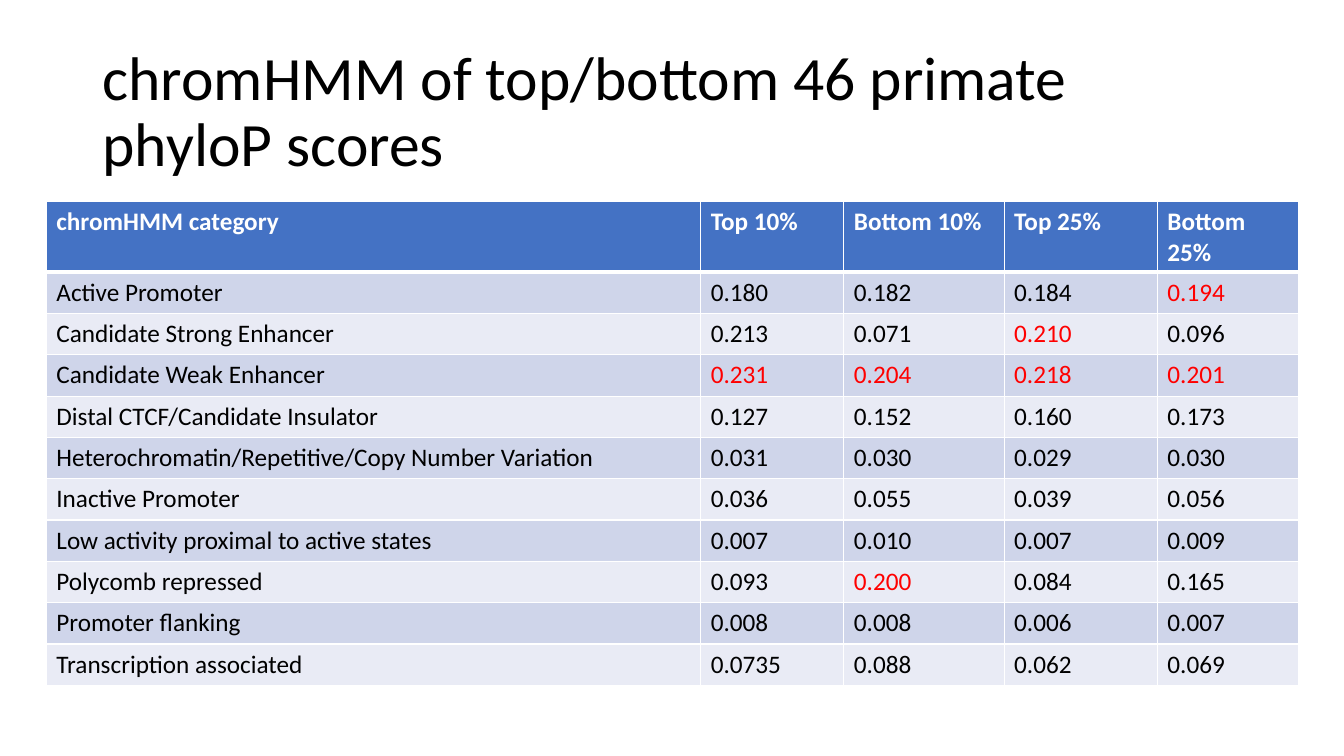
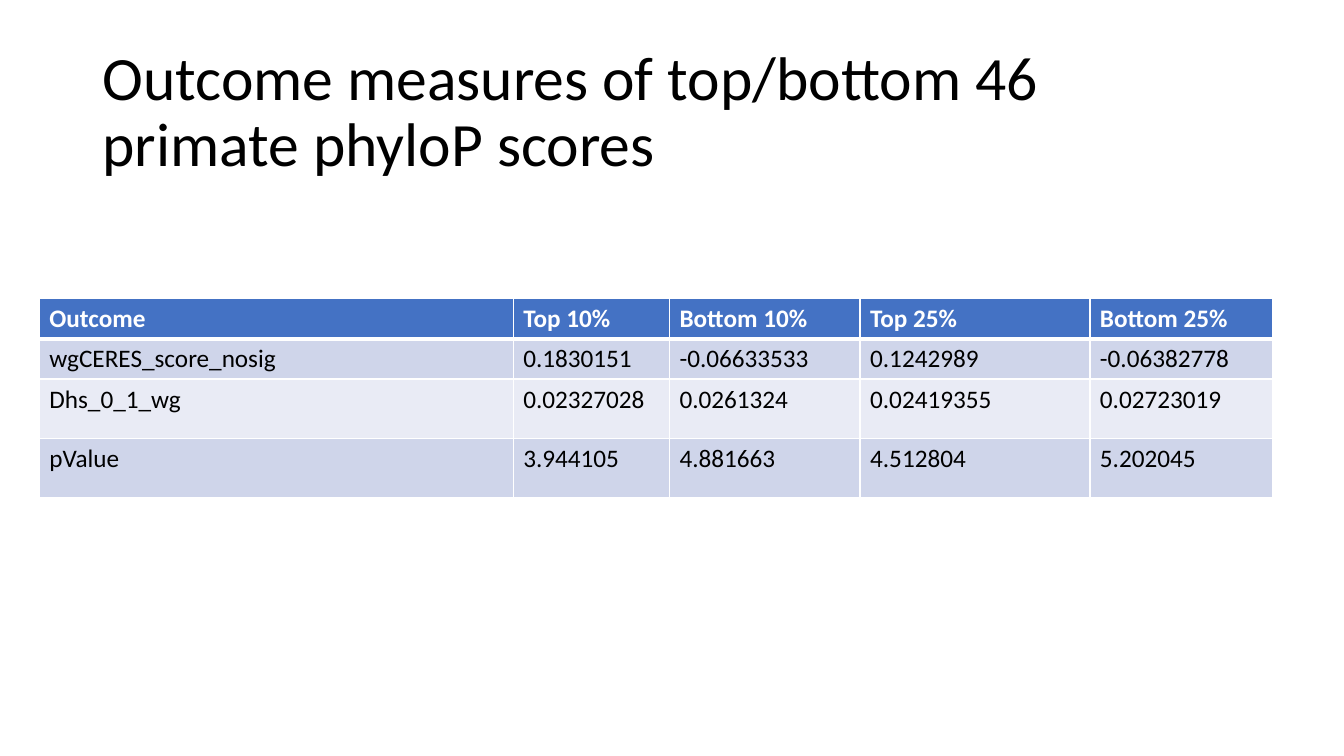
from lxml import etree
from pptx import Presentation
from pptx import util as u
from pptx.dml.color import RGBColor
from pptx.enum import text
from pptx.oxml import ns

BLACK = RGBColor(0x00, 0x00, 0x00)
WHITE = RGBColor(0xFF, 0xFF, 0xFF)
RED = RGBColor(0xFF, 0x00, 0x00)
HEADER_BLUE = RGBColor(0x44, 0x72, 0xC4)
BANDS = (RGBColor(0xCF, 0xD5, 0xEA), RGBColor(0xE9, 0xEB, 0xF5))

SLIDE_SIZE = (13.33, 7.5)
TITLE_BOX = (0.92, 0.4, 11.5, 1.45)
FONT = "Calibri"
TITLE_FORMAT = {"name": FONT, "size": u.Pt(44)}
HEADER_FORMAT = {"name": FONT, "size": u.Pt(18), "bold": True}
BODY_FORMAT = {**HEADER_FORMAT, "bold": False}
THIN, THICK = 1, 3

GROUPS = ["Top 10%", "Bottom 10%", "Top 25%", "Bottom 25%"]

CHROMHMM = {
    "title": "chromHMM of top/bottom 46 primate phyloP scores",
    "corner": (0.46, 2),
    "widths": [6.49, 1.42, 1.59, 1.52, 1.4],
    "heights": [0.49] + [0.41] * 10,
    "rows": [
        ["chromHMM category", *GROUPS],
        ["Active Promoter", "0.180", "0.182", "0.184", "0.194"],
        ["Candidate Strong Enhancer", "0.213", "0.071", "0.210", "0.096"],
        ["Candidate Weak Enhancer", "0.231", "0.204", "0.218", "0.201"],
        ["Distal CTCF/Candidate Insulator", "0.127", "0.152", "0.160", "0.173"],
        ["Heterochromatin/Repetitive/Copy Number Variation",
         "0.031", "0.030", "0.029", "0.030"],
        ["Inactive Promoter", "0.036", "0.055", "0.039", "0.056"],
        ["Low activity proximal to active states",
         "0.007", "0.010", "0.007", "0.009"],
        ["Polycomb repressed", "0.093", "0.200", "0.084", "0.165"],
        ["Promoter flanking", "0.008", "0.008", "0.006", "0.007"],
        ["Transcription associated", "0.0735", "0.088", "0.062", "0.069"],
    ],
    "highlights": {"0.194", "0.210", "0.231", "0.204", "0.218", "0.201", "0.200"},
}

OUTCOMES = {
    "title": "Outcome measures of top/bottom 46 primate phyloP scores",
    "corner": (0.39, 2.96),
    "widths": [4.7, 1.55, 1.89, 2.28, 1.81],
    "heights": [0.35, 0.34, 0.59, 0.59],
    "rows": [
        ["Outcome", *GROUPS],
        ["wgCERES_score_nosig",
         "0.1830151", "-0.06633533", "0.1242989", "-0.06382778"],
        ["Dhs_0_1_wg", "0.02327028", "0.0261324", "0.02419355", "0.02723019"],
        ["pValue", "3.944105", "4.881663", "4.512804", "5.202045"],
    ],
    "highlights": set(),
}


def write(para, words, formats, color):
    span = para.add_run()
    span.text = words
    for name, value in formats.items():
        setattr(span.font, name, value)
    span.font.color.rgb = color


def add_title(page, words, box):
    frame = page.shapes.add_textbox(*map(u.Inches, box)).text_frame
    frame.word_wrap = True
    frame.vertical_anchor = text.MSO_ANCHOR.MIDDLE
    para = frame.paragraphs[0]
    para.line_spacing = 0.9
    write(para, words, TITLE_FORMAT, BLACK)


def add_borders(cell, widths):
    """Draw white borders; widths are points for left, right, top, bottom."""
    properties = cell._tc.get_or_add_tcPr()
    for side, width in zip("LRTB", widths):
        line = etree.SubElement(properties, ns.qn(f"a:ln{side}"), w=str(u.Pt(width)))
        fill = etree.SubElement(line, ns.qn("a:solidFill"))
        etree.SubElement(fill, ns.qn("a:srgbClr"), val=str(WHITE))


def style_cell(cell, words, row, highlighted):
    is_header = row == 0
    top = THICK if row == 1 else THIN
    bottom = THICK if is_header else THIN
    add_borders(cell, (THIN, THIN, top, bottom))
    cell.fill.solid()
    cell.fill.fore_color.rgb = HEADER_BLUE if is_header else BANDS[(row - 1) % 2]
    color = WHITE if is_header else RED if highlighted else BLACK
    write(cell.text_frame.paragraphs[0], words,
          HEADER_FORMAT if is_header else BODY_FORMAT, color)


def add_score_table(page, corner, widths, heights, rows, highlights):
    box = (*corner, sum(widths), sum(heights))
    table = page.shapes.add_table(
        len(rows), len(widths), *map(u.Inches, box)).table
    for column, width in zip(table.columns, widths):
        column.width = u.Inches(width)
    for line, height in zip(table.rows, heights):
        line.height = u.Inches(height)
    for row, values in enumerate(rows):
        for column, words in enumerate(values):
            style_cell(table.cell(row, column), words, row, words in highlights)


def add_score_slide(deck, title, **table):
    page = deck.slides.add_slide(deck.slide_layouts[6])
    add_title(page, title, TITLE_BOX)
    add_score_table(page, **table)


def main():
    deck = Presentation()
    deck.slide_width, deck.slide_height = map(u.Inches, SLIDE_SIZE)
    for content in (CHROMHMM, OUTCOMES):
        add_score_slide(deck, **content)
    deck.save("out.pptx")


if __name__ == "__main__":
    main()
